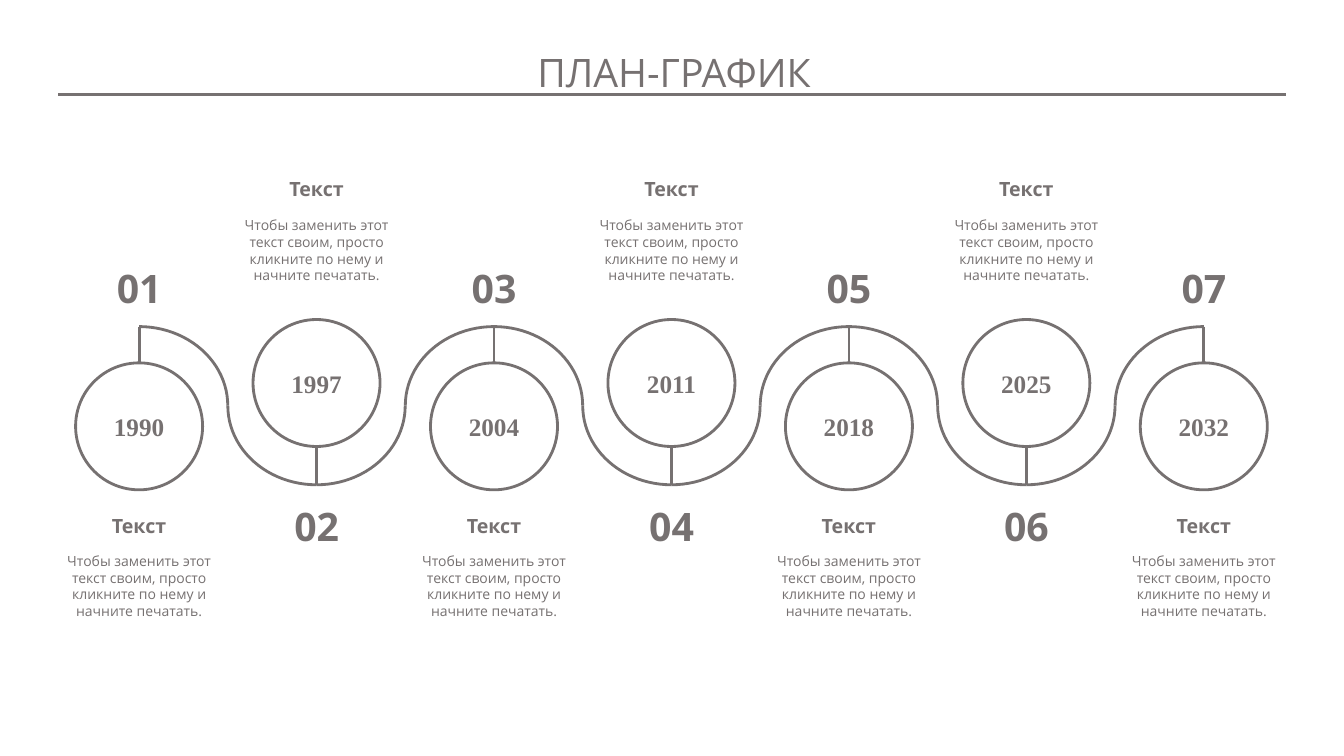
from dataclasses import dataclass

from lxml import etree
from pptx import Presentation
from pptx import util as u
from pptx.dml.color import RGBColor
from pptx.enum import shapes, text
from pptx.oxml.ns import qn

HUES = {"ink": "767171", "paper": "FFFFFF"}
SANS, SERIF = "Open Sans", "Times New Roman"
WIDE, HIGH = 13.33, 7.5
STEP = 1.76           # column width
MID = 6.66            # centre of the middle column
DISC = 1.26
ARCH = 1.57
CREST = 3.24          # top of the wave
NOTE = "Чтобы заменить этот текст своим, просто кликните по нему и начните печатать."
YEARS = ("1990", "1997", "2004", "2011", "2018", "2025", "2032")


@dataclass(frozen=True)
class Track:
    """Rows used by one kind of column, in inches from the top."""
    hub: float
    edge: float
    rim: float
    badge: float
    head: float
    note: float
    flip: bool


LOW = Track(4.23, CREST, 3.6, 2.57, 5.05, 5.43, False)
TALL = Track(3.8, CREST + ARCH, 4.43, 4.93, 1.71, 2.1, True)


def hue(name: str) -> RGBColor:
    return RGBColor.from_string(HUES[name])


def style(shape, words: str, size: float, font: str = SANS, bold: bool = False):
    """Fill a text shape with one centred paragraph."""
    frame = shape.text_frame
    frame.text = words
    frame.word_wrap = True
    frame.auto_size = text.MSO_AUTO_SIZE.SHAPE_TO_FIT_TEXT
    frame.vertical_anchor = text.MSO_ANCHOR.TOP
    para = frame.paragraphs[0]
    para.alignment = text.PP_ALIGN.CENTER
    for run in para.runs:
        run.font.size, run.font.name, run.font.bold = u.Pt(size), font, bold
        run.font.color.rgb = hue("ink")
    return para


def label(slide, mid: float, top: float, wide: float, high: float,
          words: str, size: float, font: str = SANS, bold: bool = True):
    box = slide.shapes.add_textbox(
        u.Inches(mid - wide / 2), u.Inches(top), u.Inches(wide), u.Inches(high))
    return style(box, words, size, font, bold)


def line(slide, x1: float, y1: float, x2: float, y2: float) -> None:
    link = slide.shapes.add_connector(
        shapes.MSO_CONNECTOR.STRAIGHT, *map(u.Inches, (x1, y1, x2, y2)))
    link.line.color.rgb = hue("ink")
    link.line.width = u.Pt(2)
    etree.SubElement(link.element.spPr, qn("a:effectLst"))


def shape(slide, kind, mid: float, top: float, wide: float, high: float):
    item = slide.shapes.add_shape(
        kind, u.Inches(mid - wide / 2), u.Inches(top), u.Inches(wide), u.Inches(high))
    item.shadow.inherit = False
    item.line.color.rgb = hue("ink")
    item.line.width = u.Pt(2)
    return item


def wave(slide, mid: float, left: bool, down: bool) -> None:
    """Draw one quarter of the winding line."""
    arc = shape(slide, shapes.MSO_SHAPE.ARC, mid, CREST, STEP, ARCH)
    arc.fill.background()
    for name, on in (("flipH", left), ("flipV", down)):
        if on:
            arc.element.spPr.xfrm.set(name, "1")


def stage(slide, col: int, year: str) -> None:
    row = TALL if col % 2 else LOW
    mid = MID + (col - len(YEARS) // 2) * STEP
    if col > 0:
        wave(slide, mid, True, row.flip)
    if col < len(YEARS) - 1:
        wave(slide, mid, False, row.flip)
    line(slide, mid, row.edge, mid, row.rim)
    disc = shape(slide, shapes.MSO_SHAPE.OVAL, mid, row.hub - DISC / 2, DISC, DISC)
    disc.fill.solid()
    disc.fill.fore_color.rgb = hue("paper")
    label(slide, mid, row.hub - 0.2, DISC, 0.4, year, 18, SERIF)
    label(slide, mid, row.badge, 1.05, 0.57, f"{col + 1:02}", 28)
    label(slide, mid, row.head, 1.67, 0.33, "Текст", 14)
    note = label(slide, mid, row.note, 1.67, 0.77, NOTE, 10, bold=False)
    note.line_spacing = u.Pt(12)


def main() -> None:
    deck = Presentation()
    deck.slide_width, deck.slide_height = u.Inches(WIDE), u.Inches(HIGH)
    slide = deck.slides.add_slide(deck.slide_layouts[5])
    title = slide.shapes.title
    title.left, title.top = u.Inches(0), u.Inches(0.43)
    title.width, title.height = u.Inches(13.37), u.Inches(0.57)
    style(title, "ПЛАН-ГРАФИК", 28)
    line(slide, 0.58, 0.94, 12.75, 0.94)
    for col, year in enumerate(YEARS):
        stage(slide, col, year)
    deck.save("out.pptx")


if __name__ == "__main__":
    main()
